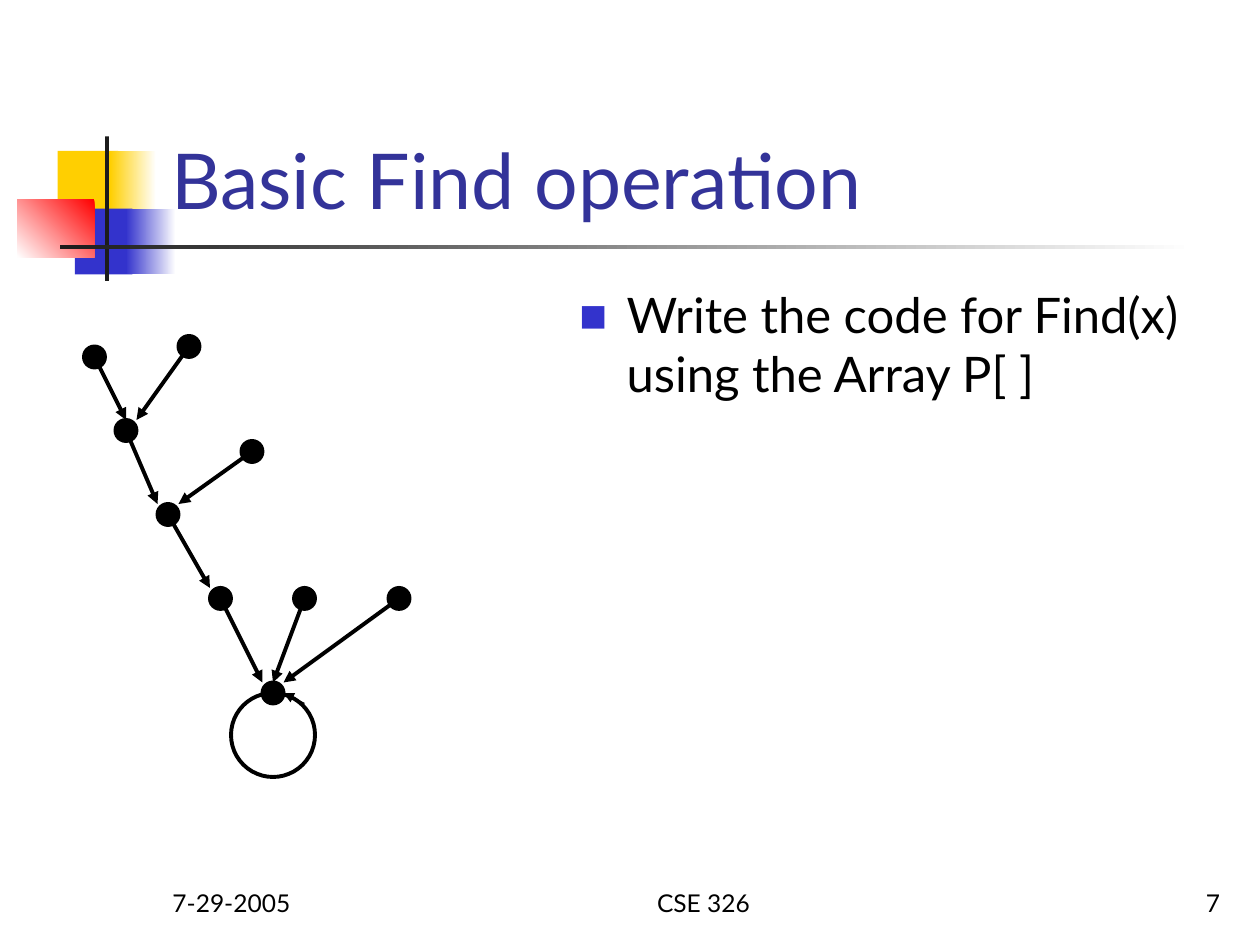
from lxml import etree
from pptx import Presentation
from pptx.dml.color import RGBColor
from pptx.enum.shapes import MSO_CONNECTOR, MSO_SHAPE
from pptx.enum.text import MSO_ANCHOR, PP_ALIGN
from pptx.oxml.ns import qn
from pptx.util import Pt

RECT, OVAL = MSO_SHAPE.RECTANGLE, MSO_SHAPE.OVAL
STRAIGHT = MSO_CONNECTOR.STRAIGHT
TOP, BOTTOM = MSO_ANCHOR.TOP, MSO_ANCHOR.BOTTOM
LEFT, CENTER, RIGHT = PP_ALIGN.LEFT, PP_ALIGN.CENTER, PP_ALIGN.RIGHT

PX = 9525  # EMU in one px, 96 px to the inch
FONT = "Lato"
COLORS = {"white": "FFFFFF", "black": "000000", "ink": "1C1C1C", "yellow": "FFCF01",
          "blue": "3333CC", "red": "FF0000", "title": "333399"}

# Ornament: box, colours (one is solid, two a gradient), counter-clockwise angle
ORNAMENT = [
    ((44, 115, 46, 50), ["yellow"], 0),
    ((84, 115, 35, 50), ["white", "yellow"], 180),
    ((57, 159, 44, 50), ["blue"], 0),
    ((96, 159, 38, 50), ["white", "blue"], 180),
    ((13, 152, 59, 44), ["red", "white"], 225),
    ((80, 104, 3, 110), ["ink"], 0),
    ((46, 187, 864, 3), ["white", "ink"], 180),
]

# Text: wording, box, size, colour, alignment, anchor
TITLE = ("Basic Find operation", (121, 22, 818, 154), 44, "title", LEFT, BOTTOM)
TASK = ("Write the code for Find(x) using the Array P[ ]",
        (432, 212, 508, 432), 28, "black", LEFT, TOP)
FOOTERS = [
    ("CSE 326", (384, 656, 304, 48), 14, "black", CENTER, BOTTOM),
    ("7", (739, 656, 200, 48), 14, "black", RIGHT, BOTTOM),
    ("7-29-2005", (122, 656, 200, 48), 14, "black", LEFT, BOTTOM),
]

# Tree: node centres, and edges (child, parent, side of the parent's top met)
RADIUS = 8
NODES = {"a": (72, 272), "b": (96, 328), "c": (128, 392), "d": (144, 264),
         "e": (168, 456), "f": (192, 344), "root": (208, 528),
         "g": (232, 456), "h": (304, 456)}
EDGES = [("a", "b", 0), ("b", "c", -1), ("c", "e", -1), ("e", "root", -1),
         ("g", "root", 0), ("h", "root", 1), ("f", "c", 1), ("d", "b", 1)]
LOOP_RADIUS = 32


def emu(*lengths):
    return [round(length * PX) for length in lengths]


def rgb(name):
    return RGBColor.from_string(COLORS[name])


def add_shape(slide, kind, box, fills=(), angle=0, outline=None):
    shape = slide.shapes.add_shape(kind, *emu(*box))
    shape.shadow.inherit = False
    if len(fills) == 2:
        shape.fill.gradient()
        shape.fill.gradient_angle = angle
        for stop, name in zip(shape.fill.gradient_stops, fills):
            stop.color.rgb = rgb(name)
    elif fills:
        shape.fill.solid()
        shape.fill.fore_color.rgb = rgb(fills[0])
    else:
        shape.fill.background()
    if outline:
        shape.line.color.rgb = rgb("black")
        shape.line.width = Pt(outline)
    else:
        shape.line.fill.background()


def add_circle(slide, center, radius, fills=()):
    x, y = center
    add_shape(slide, OVAL, (x - radius, y - radius, 2 * radius, 2 * radius),
              fills, outline=2.25)


def add_arrow(slide, start, end, width=2.25):
    arrow = slide.shapes.add_connector(STRAIGHT, *emu(*start, *end))
    arrow.line.color.rgb = rgb("black")
    arrow.line.width = Pt(width)
    etree.SubElement(arrow.line._get_or_add_ln(), qn("a:tailEnd"), type="triangle")
    etree.SubElement(arrow._element.spPr, qn("a:effectLst"))


def add_text(slide, wording, box, size, color, align, anchor):
    frame = slide.shapes.add_textbox(*emu(*box)).text_frame
    frame.word_wrap = True
    frame.vertical_anchor = anchor
    paragraph = frame.paragraphs[0]
    paragraph.text = wording
    paragraph.alignment = align
    paragraph.font.name = FONT
    paragraph.font.size = Pt(size)
    paragraph.font.color.rgb = rgb(color)
    return paragraph


def add_bullet(paragraph, indent):
    props = paragraph._p.get_or_add_pPr()
    props.set("marL", str(indent * PX))
    props.set("indent", str(-indent * PX))
    # Bullet elements go before the run defaults, in schema order
    bullet_color = etree.Element(qn("a:buClr"))
    etree.SubElement(bullet_color, qn("a:srgbClr"), val=COLORS["blue"])
    bullet = [bullet_color,
              etree.Element(qn("a:buSzPct"), val="60000"),
              etree.Element(qn("a:buFont"), typeface=FONT),
              etree.Element(qn("a:buChar"), char="■")]
    defaults = props.find(qn("a:defRPr"))
    for part in bullet:
        defaults.addprevious(part)


def main():
    deck = Presentation()
    deck.slide_width, deck.slide_height = emu(960, 720)
    slide = deck.slides.add_slide(deck.slide_layouts[6])

    # Ornament, title and task
    for box, fills, angle in ORNAMENT:
        add_shape(slide, RECT, box, fills, angle)
    add_text(slide, *TITLE)
    task = add_text(slide, *TASK)
    task.space_before = Pt(7)
    add_bullet(task, 36)

    # Tree of parent pointers
    for center in NODES.values():
        add_circle(slide, center, RADIUS, ["black"])
    for child, parent, side in EDGES:
        x, y = NODES[parent]
        add_arrow(slide, NODES[child], (x + side * RADIUS, y - RADIUS))

    # The root points to itself
    x, y = NODES["root"]
    add_circle(slide, (x, y + LOOP_RADIUS), LOOP_RADIUS)
    add_arrow(slide, (x + 3 * RADIUS, y + RADIUS), (x + RADIUS, y), 0.75)

    for footer in FOOTERS:
        add_text(slide, *footer)
    deck.save("out.pptx")


if __name__ == "__main__":
    main()
